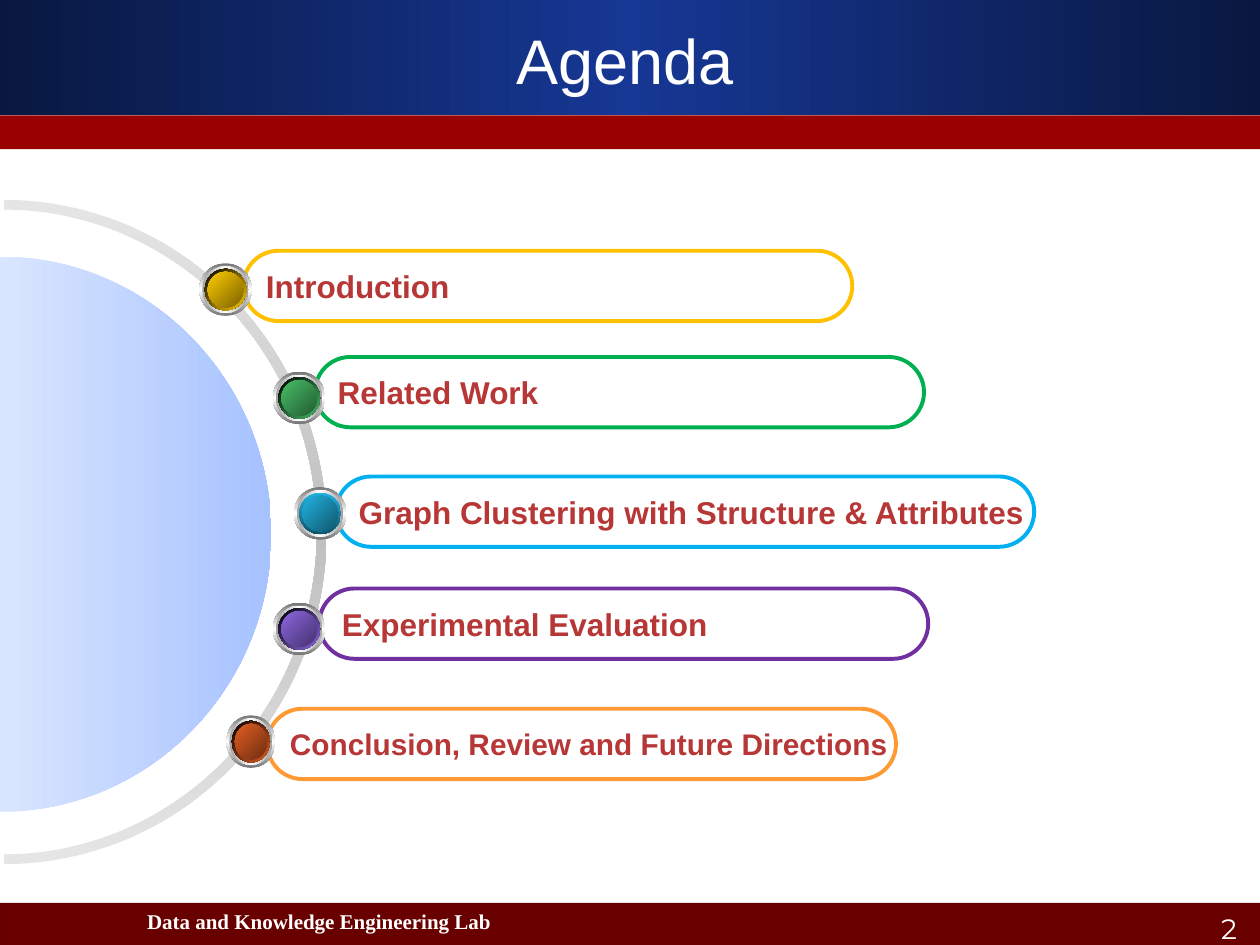
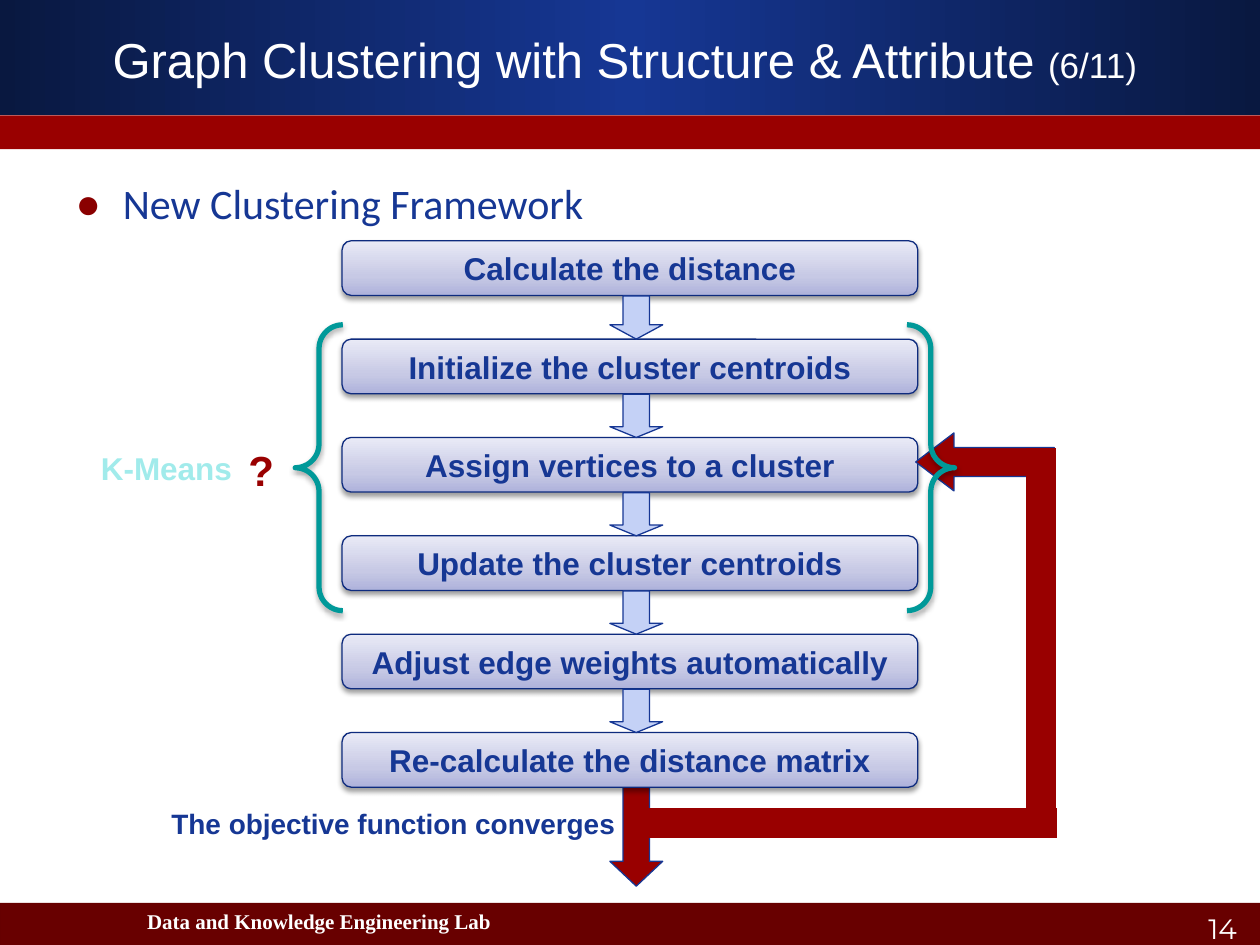
from dataclasses import dataclass
from typing import NamedTuple

from lxml import etree
from pptx import Presentation
from pptx import util as u
from pptx.dml.color import RGBColor
from pptx.enum import shapes, text
from pptx.oxml.ns import qn

Pt = u.Pt
Kind = shapes.MSO_SHAPE
Align = text.PP_ALIGN
Anchor = text.MSO_ANCHOR


@dataclass(frozen=True)
class Theme:
    white: str = "FFFFFF"
    black: str = "000000"
    navy: str = "163794"
    deep_navy: str = "091840"
    step_line: str = "0E2B7E"
    arrow_fill: str = "C4D1F6"
    red: str = "990000"
    agenda_text: str = "B73636"
    bullet: str = "8A0000"
    footer: str = "680000"
    footer_line: str = "660000"
    teal: str = "009999"
    pale_teal: str = "A1EBEB"
    font: str = "Arial"
    body_font: str = "Calibri"
    footer_font: str = "Times New Roman"
    number_font: str = "Montserrat"
    title_size: float = 36
    long_title_size: float = 28
    counter_size: float = 20
    body_size: float = 24
    label_size: float = 18
    small_label_size: float = 17
    note_size: float = 16
    footer_size: float = 12


THEME = Theme()


class Stop(NamedTuple):
    position: float
    color: str


class Box(NamedTuple):
    left: float
    top: float
    width: float
    height: float

    def lengths(self) -> list:
        return [Pt(value) for value in self]


class Topic(NamedTuple):
    label: str
    pill: Box
    line: str
    badge: Box
    bright: str
    dark: str
    size: float = THEME.label_size
    rim: tuple = ()


class BadgeLayer(NamedTuple):
    inset: float
    stops: list
    angle: float


# Formatting helpers
def write(frame, content: str, *, size: float, color: str, font: str = THEME.font,
          bold: bool = False, align=Align.LEFT, anchor=Anchor.TOP,
          wrap: bool = True) -> None:
    """Add one span to the first paragraph of a text frame."""
    frame.word_wrap = wrap
    frame.auto_size = text.MSO_AUTO_SIZE.NONE
    frame.vertical_anchor = anchor
    para = frame.paragraphs[0]
    para.alignment = align
    span = para.add_run()
    span.text = content
    span.font.size = Pt(size)
    span.font.name = font
    span.font.bold = bold
    span.font.color.rgb = RGBColor.from_string(color)


def add_color(parent, color: str, opacity: int = 100) -> None:
    node = etree.SubElement(parent, qn("a:srgbClr"), val=color)
    if opacity < 100:
        etree.SubElement(node, qn("a:alpha"), val=str(opacity * 1000))


def paint(shape, fill=None, line: str = "", weight: float = 0.75, angle: float = 0) -> None:
    """Fill with a colour, a list of stops or nothing, and set the outline."""
    shape.shadow.inherit = False
    if isinstance(fill, str):
        shape.fill.solid()
        shape.fill.fore_color.rgb = RGBColor.from_string(fill)
    elif fill:
        shape.fill.gradient()
        gradient = shape._element.spPr.find(qn("a:gradFill"))
        stop_list = gradient.find(qn("a:gsLst"))
        stop_list.clear()
        for stop in fill:
            node = etree.SubElement(stop_list, qn("a:gs"), pos=str(int(stop.position * 1000)))
            add_color(node, stop.color)
        gradient.find(qn("a:lin")).set("ang", str(int(angle * 60000)))
    else:
        shape.fill.background()
    if line:
        shape.line.color.rgb = RGBColor.from_string(line)
        shape.line.width = Pt(weight)
    else:
        shape.line.fill.background()


def cast_shadow(shape, opacity: int) -> None:
    effects = shape._element.spPr.find(qn("a:effectLst"))
    shadow = etree.SubElement(effects, qn("a:outerShdw"), blurRad=str(Pt(3.1)),
                              dist=str(Pt(1.7)), dir="5400000", rotWithShape="0")
    add_color(shadow, THEME.black, opacity)


def mirrored(edge: str, middle: str) -> list:
    return [Stop(0, edge), Stop(50, middle), Stop(100, edge)]


# Drawing helpers
def add_shape(page, kind, box: Box, fill=None, adjust=(), **style):
    shape = page.shapes.add_shape(kind, *box.lengths())
    for index, value in enumerate(adjust):
        shape.adjustments[index] = value
    paint(shape, fill, **style)
    return shape


def add_text(page, box: Box, content: str, **style):
    frame = page.shapes.add_textbox(*box.lengths()).text_frame
    write(frame, content, **style)
    return frame


def add_bar(page, start: tuple, end: tuple) -> None:
    line = page.shapes.add_connector(shapes.MSO_CONNECTOR.STRAIGHT,
                                     *[Pt(value) for value in start + end])
    line.line.color.rgb = RGBColor.from_string(THEME.red)
    line.line.width = Pt(17)
    etree.SubElement(line._element.spPr, qn("a:effectLst"))


def right_arc(center: tuple, radius_x: float, radius_y: float) -> list:
    """Knots and handles of two quarter curves, from top to bottom."""
    bend = 0.5523
    steps = [(0, -1), (bend, -1), (1, -bend), (1, 0), (1, bend), (bend, 1), (0, 1)]
    return [(Pt(center[0] + radius_x * x), Pt(center[1] + radius_y * y)) for x, y in steps]


def add_curved_shape(page, arcs: list, fill: list, angle: float) -> None:
    """Join the arcs with straight edges into one closed outline."""
    points = [point for arc in arcs for point in arc]
    builder = page.shapes.build_freeform(*points[0])
    builder.add_line_segments(points[1:], close=True)
    shape = builder.convert_to_shape()
    edges = list(shape._element.iter(qn("a:lnTo")))
    for first in range(0, len(points), 7):
        for begin in (first, first + 3):
            curve = etree.Element(qn("a:cubicBezTo"))
            edges[begin].addprevious(curve)
            for edge in edges[begin:begin + 3]:
                curve.append(edge[0])
                edge.getparent().remove(edge)
    paint(shape, fill, angle=angle)


# Shared parts
def move_bands_to_master(deck, page) -> None:
    bands = [
        add_shape(page, Kind.RECTANGLE, Box(0, 0, 720, 65.5),
                  mirrored(THEME.deep_navy, THEME.navy)),
        add_shape(page, Kind.RECTANGLE, Box(0, 66, 720, 19.2), THEME.red),
    ]
    for band in bands:
        deck.slide_master.shapes._spTree.insert(2, band._element)


def place(holder, box: Box) -> None:
    holder.left, holder.top, holder.width, holder.height = box.lengths()


def set_title(page, content: str, size: float, counter: str = "") -> None:
    place(page.shapes.title, Box(24, 11.2, 666, 45))
    for part, part_size in ((content, size), (counter, THEME.counter_size)):
        if part:
            write(page.shapes.title.text_frame, part, size=part_size, color=THEME.white,
                  align=Align.CENTER, anchor=Anchor.MIDDLE)


def add_footer(page, number: int) -> None:
    add_shape(page, Kind.RECTANGLE, Box(0, 516, 720, 24), THEME.footer,
              line=THEME.footer_line, weight=0.25)
    frame = add_text(page, Box(675, 518.4, 38.9, 21.6), str(number), size=THEME.note_size,
                     color=THEME.white, font=THEME.number_font, align=Align.RIGHT,
                     anchor=Anchor.BOTTOM)
    frame.margin_bottom = 0
    frame = add_text(page, Box(78, 517.2, 220, 22.3), "Data and Knowledge Engineering Lab",
                     size=THEME.footer_size, color=THEME.white, font=THEME.footer_font,
                     bold=True)
    frame.margin_left, frame.margin_right = Pt(6), 0
    frame.paragraphs[0].line_spacing = 0.9


# Agenda
TOPICS = [
    Topic("Introduction", Box(139, 143.3, 348, 40.2), "FFC000",
          Box(113.9, 150.5, 30, 30), "FFCC00", "7C6300"),
    Topic("Related Work", Box(180, 204, 348, 40.2), "00B050",
          Box(156, 212.4, 30, 30), "48BE67", "235C32"),
    Topic("Graph Clustering with Structure & Attributes", Box(192, 272.3, 399, 40.2),
          "00B0F0", Box(168, 278.4, 30, 30), "21B3E1", "10576D",
          rim=(Stop(0, "21B3E1"), Stop(100, "0F5368"))),
    Topic("Experimental Evaluation", Box(182.4, 336.3, 348, 40.2), "7030A0",
          Box(156, 344.4, 30, 30), "8D67E1", "45326D"),
    Topic("Conclusion, Review and Future Directions", Box(152.7, 405, 359.3, 40.2),
          "FF9933", Box(129.4, 408.8, 28, 30), "E35E23", "6E2E11", THEME.small_label_size),
]


def add_badge(page, topic: Topic) -> None:
    dark_rim = [Stop(0, THEME.black), Stop(100, topic.bright)]
    layers = [
        BadgeLayer(0, mirrored("767676", THEME.white), 90),
        BadgeLayer(1.7, mirrored("A2A2A2", THEME.white), 0),
        BadgeLayer(3.1, topic.rim or dark_rim, 90 if topic.rim else 45),
        BadgeLayer(4.8, [Stop(0, topic.bright), Stop(100, topic.dark)], 45),
    ]
    left, top, width, height = topic.badge
    for inset, stops, angle in layers:
        add_shape(page, Kind.OVAL, Box(left + inset, top + inset, width - 2 * inset,
                                       height - 2 * inset), stops, angle=angle)


def build_agenda(page) -> None:
    set_title(page, "Agenda", THEME.title_size)
    center = (2.1, 304)
    ring = [right_arc(center, 184.5, 189.8), right_arc(center, 179, 184.2)[::-1]]
    add_curved_shape(page, ring, mirrored("E5E5E5", "C0C0C0"), 90)
    add_curved_shape(page, [right_arc((0, 305.3), 155, 158.6)],
                     [Stop(0, "DAE6FF"), Stop(100, "A6C2FF")], 0)
    for topic in TOPICS:
        pill = add_shape(page, Kind.ROUNDED_RECTANGLE, topic.pill, adjust=[0.5],
                         line=topic.line, weight=2.25)
        write(pill.text_frame, topic.label, size=topic.size, color=THEME.agenda_text,
              bold=True, anchor=Anchor.MIDDLE, wrap=False)
    for topic in TOPICS:
        add_badge(page, topic)
    add_footer(page, 2)


# Clustering framework
STEPS = ["Calculate the distance", "Initialize the cluster centroids",
         "Assign vertices to a cluster", "Update the cluster centroids",
         "Adjust edge weights automatically", "Re-calculate the distance matrix"]
STEP_STOPS = [Stop(0, "AEB2DB"), Stop(35, "C7C9E5"), Stop(100, "E9EAF6")]
FIRST_STEP = Box(195.5, 137.6, 329, 31.2)
STEP_PITCH = 56.2


def add_bullet(page, content: str) -> None:
    body = page.placeholders[1]
    place(body, Box(36, 100, 600, 414))
    write(body.text_frame, content, size=THEME.body_size, color=THEME.navy,
          font=THEME.body_font)
    para = body.text_frame.paragraphs[0]
    para.line_spacing = 0.95
    para.space_before = Pt(2.4)
    props = para._p.get_or_add_pPr()
    props.set("marL", str(Pt(27)))
    props.set("indent", str(Pt(-27)))
    add_color(etree.SubElement(props, qn("a:buClr")), THEME.bullet)
    etree.SubElement(props, qn("a:buFont"), typeface=THEME.font)
    etree.SubElement(props, qn("a:buChar"), char="●")


def build_framework(page) -> None:
    set_title(page, "Graph Clustering with Structure & Attribute ",
              THEME.long_title_size, "(6/11)")
    add_bullet(page, "New Clustering Framework")
    add_footer(page, 14)

    # Exit arrow and its condition
    add_text(page, Box(90.9, 457.2, 269.3, 26.6), "The objective function converges",
             size=THEME.note_size, color=THEME.navy, bold=True)
    add_shape(page, Kind.DOWN_ARROW, Box(348.5, 444, 30.2, 62.4), THEME.red,
              adjust=[0.5, 0.47], line=THEME.navy)

    # Steps
    left, first_top, width, height = FIRST_STEP
    for index, label in enumerate(STEPS):
        top = first_top + index * STEP_PITCH
        step = add_shape(page, Kind.ROUNDED_RECTANGLE, Box(left, top, width, height),
                         STEP_STOPS, adjust=[0.167], line=THEME.step_line, angle=270)
        cast_shadow(step, 38)
        write(step.text_frame, label, size=THEME.label_size, color=THEME.navy, bold=True,
              align=Align.CENTER, anchor=Anchor.MIDDLE, wrap=False)

    # Loop back to the assignment step
    add_bar(page, (360, 470.2), (603.8, 470.2))
    loop_head = add_shape(page, Kind.DOWN_ARROW, Box(546.3, 224.4, 33.1, 79.2), THEME.red,
                          adjust=[0.5, 0.66], line=THEME.navy)
    loop_head.rotation = 90
    add_bar(page, (594.8, 468.7), (594.8, 256.3))

    # Arrows between the steps, the first with a longer head
    for index in range(len(STEPS) - 1):
        top = first_top + height + 0.3 + index * STEP_PITCH
        add_shape(page, Kind.DOWN_ARROW, Box(348.5, top, 30.2, STEP_PITCH - height - 0.3),
                  THEME.arrow_fill, adjust=[0.5, 0.25 if index else 0.33], line=THEME.navy)

    # Steps known from K-Means
    braces = add_shape(page, Kind.DOUBLE_BRACE, Box(168.7, 185.6, 376.8, 163.4),
                       line=THEME.teal, weight=3)
    cast_shadow(braces, 35)
    add_text(page, Box(50.5, 253, 90, 28.8), "K-Means", size=THEME.label_size,
             color=THEME.pale_teal, bold=True, wrap=False)
    question = add_shape(page, Kind.RECTANGLE, Box(134.9, 250.6, 29.5, 36), THEME.white,
                         line=THEME.white, weight=2)
    write(question.text_frame, "?", size=THEME.body_size, color=THEME.red, bold=True,
          wrap=False)


def main() -> None:
    deck = Presentation()
    deck.slide_width, deck.slide_height = Pt(720), Pt(540)
    agenda = deck.slides.add_slide(deck.slide_layouts[5])
    move_bands_to_master(deck, agenda)
    build_agenda(agenda)
    build_framework(deck.slides.add_slide(deck.slide_layouts[1]))
    deck.save("out.pptx")


if __name__ == "__main__":
    main()
